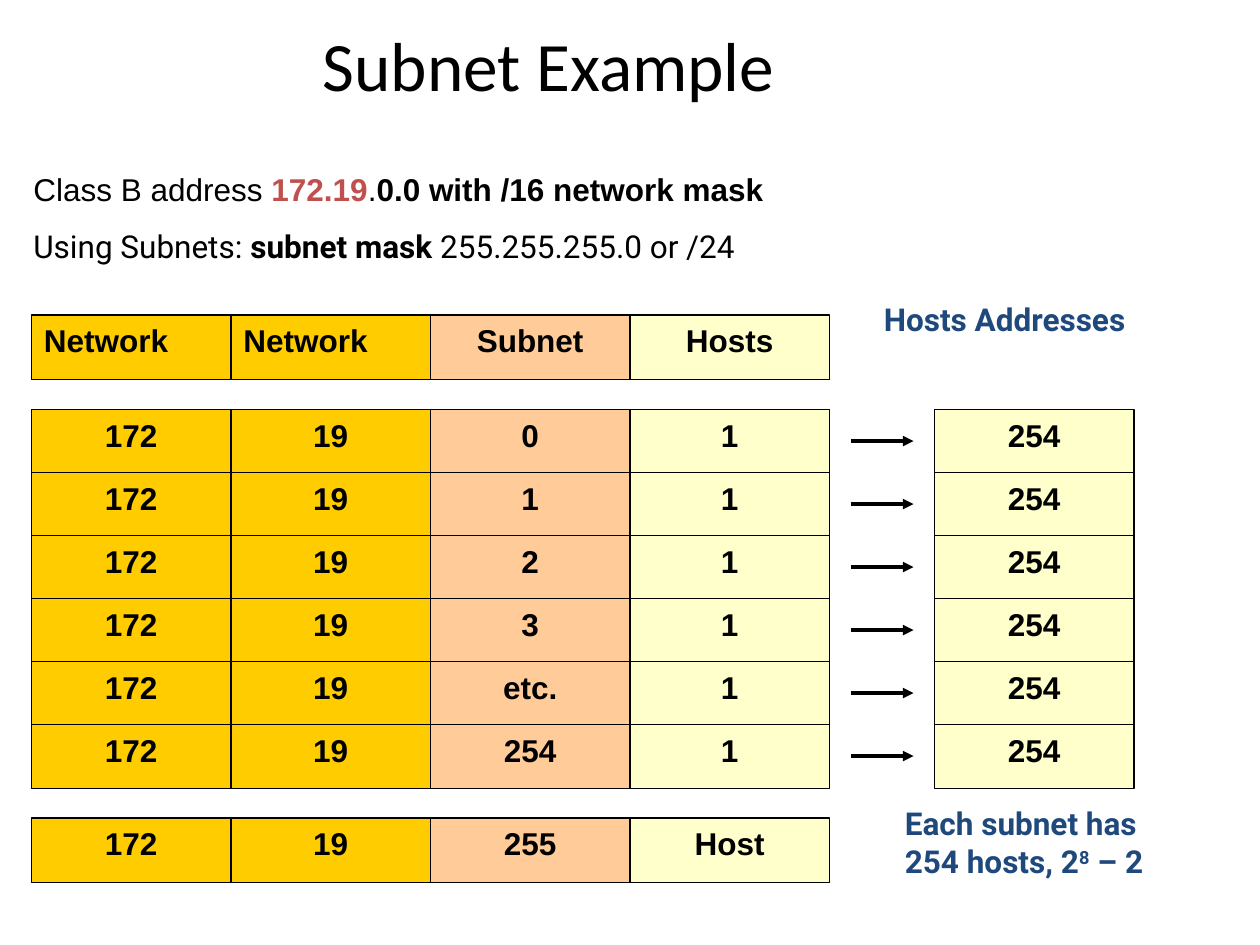
from pptx import Presentation
from pptx.dml.color import RGBColor
from pptx.enum import shapes, text
from pptx.oxml.ns import qn
from pptx.util import Pt
from lxml import etree

HUES = {"ink": "000000", "gold": "FFCC00", "peach": "FFCC99",
        "cream": "FFFFCC", "red": "C0504D", "navy": "1F497D"}
COLS = ("gold", "gold", "peach", "cream")
CELL_W, CELL_H, STEP = 114, 36.75, 36
SUBNETS = ("0", "1", "2", "3", "etc.", "254")
LEFT, CENTER = text.PP_ALIGN.LEFT, text.PP_ALIGN.CENTER


def hue(name):
    return RGBColor.from_string(HUES[name])


def style(font, face="Arial", size=18, bold=False, color="ink"):
    font.name, font.size, font.bold = face, Pt(size), bold
    font.color.rgb = hue(color)


def add_title(slide, x, y, w, h):
    title = slide.shapes.title
    title.left, title.top, title.width, title.height = map(Pt, (x, y, w, h))
    frame = title.text_frame
    frame.text = "Subnet Example"
    frame.auto_size = text.MSO_AUTO_SIZE.NONE
    frame.vertical_anchor = text.MSO_ANCHOR.MIDDLE
    para = frame.paragraphs[0]
    para.alignment = CENTER
    style(para.runs[0].font, "Calibri", 39.6)


def add_note(slide, x, y, w, h, parts, face="Roboto"):
    """Place one paragraph made of (words, bold, color) parts."""
    frame = slide.shapes.add_textbox(*map(Pt, (x, y, w, h))).text_frame
    frame.word_wrap = True
    para = frame.paragraphs[0]
    for words, bold, color in parts:
        run = para.add_run()
        run.text = words
        style(run.font, face, 18, bold, color)
    return para


def add_cell(parent, x, y, words, fill, align=CENTER):
    cell = parent.add_shape(shapes.MSO_SHAPE.RECTANGLE,
                            *map(Pt, (x, y, CELL_W, CELL_H)))
    cell.shadow.inherit = False
    cell.fill.solid()
    cell.fill.fore_color.rgb = hue(fill)
    cell.line.color.rgb = hue("ink")
    cell.line.width = Pt(0.75)
    frame = cell.text_frame
    frame.text = words
    frame.word_wrap = True
    frame.vertical_anchor = text.MSO_ANCHOR.TOP
    para = frame.paragraphs[0]
    para.alignment = align
    style(para.runs[0].font, bold=True)


def add_row(slide, x, y, words, aligns=(CENTER,) * 4):
    group = slide.shapes.add_group_shape().shapes
    for i, (word, fill, align) in enumerate(zip(words, COLS, aligns)):
        add_cell(group, x + i * CELL_W, y, word, fill, align)


def add_arrow(slide, x, y, w):
    arrow = slide.shapes.add_connector(shapes.MSO_CONNECTOR.STRAIGHT,
                                       Pt(x), Pt(y), Pt(x + w), Pt(y))
    arrow.line.color.rgb = hue("ink")
    arrow.line.width = Pt(2)
    tail = etree.SubElement(arrow.line._get_or_add_ln(), qn("a:tailEnd"))
    tail.set("type", "triangle")
    etree.SubElement(arrow._element.spPr, qn("a:effectLst"))


def add_intro(slide, x, y, w):
    para = add_note(slide, x, y, w, 42, [
        ("Class B address ", False, "ink"), ("172.19", True, "red"),
        (".", False, "ink"), ("0.0 with /16 network mask", True, "ink")],
        "Arial")
    para.line_spacing = 0.9
    props = para._p.get_or_add_pPr()
    props.set("marL", str(Pt(27)))
    props.set("indent", str(Pt(-27)))
    add_note(slide, x, y + 30, 570, 36, [
        ("Using Subnets: ", False, "ink"), ("subnet mask", True, "ink"),
        (" 255.255.255.0 or /24", False, "ink")])


def add_grid(slide, x, y):
    add_row(slide, x, y, ("Network", "Network", "Subnet", "Hosts"),
            (LEFT, LEFT, CENTER, CENTER))
    for i, subnet in enumerate(SUBNETS):
        add_row(slide, x, y + 54 + i * STEP, ("172", "19", subnet, "1"))
    add_row(slide, x, y + 287.5, ("172", "19", "255", "Host"))


def add_hosts(slide, x, y):
    add_note(slide, x + 12, y, 174, 65, [("Hosts Addresses", True, "navy")])
    for i in range(len(SUBNETS)):
        top = y + 66 + i * STEP
        add_cell(slide.shapes, x + 48, top, "254", "cream")
        add_arrow(slide, x, top + STEP / 2, 36)
    para = add_note(slide, x + 24, y + 288, 174, 50, [
        ("Each subnet has 254 hosts, 2", True, "navy"),
        ("8", True, "navy"), (" – 2", True, "navy")])
    para.runs[1]._r.get_or_add_rPr().set("baseline", "30000")


def main():
    deck = Presentation()
    deck.slide_width, deck.slide_height = Pt(720), Pt(540)
    slide = deck.slides.add_slide(deck.slide_layouts[5])
    add_title(slide, 36.5, 17.5, 554, 37.5)
    add_intro(slide, 12, 96, 684)
    add_grid(slide, 18, 180)
    add_hosts(slide, 486, 168)
    deck.save("out.pptx")


if __name__ == "__main__":
    main()
